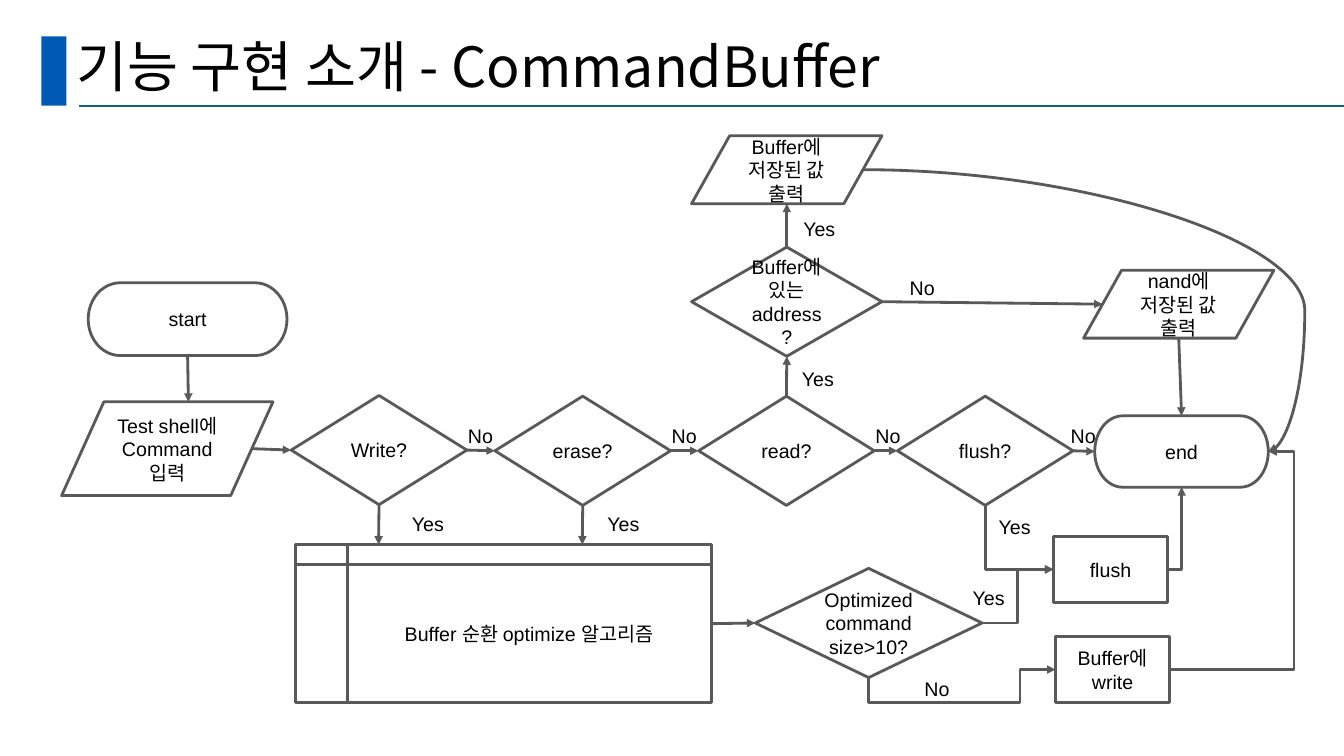
import pptx
import pptx.dml.color
import pptx.enum.shapes
import pptx.enum.text
import pptx.oxml
import pptx.oxml.ns
import pptx.util

Pt = pptx.util.Pt
Shape = pptx.enum.shapes.MSO_SHAPE
Connector = pptx.enum.shapes.MSO_CONNECTOR
Align = pptx.enum.text.PP_ALIGN
Anchor = pptx.enum.text.MSO_ANCHOR

COLORS = {"accent": "005AB4", "rule": "156082", "outline": "595959", "paper": "FFFFFF", "ink": "000000"}
BODY_FONT = "Arial"
KOREAN_FONT = "Noto Sans CJK KR"

DECISION = Shape.FLOWCHART_DECISION
DATA = Shape.FLOWCHART_DATA
TERMINATOR = Shape.FLOWCHART_TERMINATOR
PROCESS = Shape.FLOWCHART_PROCESS
STORAGE = Shape.FLOWCHART_INTERNAL_STORAGE

TOP, LEFT, BOTTOM, RIGHT = (0.5, 0), (0, 0.5), (0.5, 1), (1, 0.5)
SITES = {TOP: 0, LEFT: 1, BOTTOM: 2, RIGHT: 3}
SLANT_LEFT, SLANT_RIGHT, SLANT_TOP = (0.1, 0.5), (0.9, 0.5), (0.6, 0)

NODES = {
    "start": (TERMINATOR, "start", 23, 112, 142, 52),
    "input": (DATA, "Test shell에 Command 입력", 4, 197, 151, 67),
    "write": (DECISION, "Write?", 168, 192.5, 125.5, 78),
    "erase": (DECISION, "erase?", 313.5, 193, 125.5, 78),
    "read": (DECISION, "read?", 459, 193, 125.5, 78),
    "flush": (DECISION, "flush?", 601, 193, 125.5, 78),
    "end": (TERMINATOR, "end", 742, 207, 124, 51),
    "buffered": (DECISION, "Buffer에 있는 address?", 454, 86.5, 136, 78),
    "buffer output": (DATA, "Buffer에 저장된 값 출력", 454, 7, 136, 48.5),
    "nand output": (DATA, "nand에 저장된 값 출력", 734, 103, 136, 48.5),
    "optimize": (STORAGE, "Buffer 순환 optimize 알고리즘", 171, 299, 297, 113),
    "size": (DECISION, "Optimized command size>10?", 499.5, 316, 162, 78),
    "buffer write": (PROCESS, "Buffer에 write", 714, 364.5, 81.5, 47.5),
    "flush run": (PROCESS, "flush", 712.5, 293, 81.5, 47.5),
}

STRAIGHT_LINKS = [
    ("start", BOTTOM, "input", SLANT_TOP),
    ("input", SLANT_RIGHT, "write", LEFT),
    ("write", RIGHT, "erase", LEFT),
    ("erase", RIGHT, "read", LEFT),
    ("read", RIGHT, "flush", LEFT),
    ("flush", RIGHT, "end", LEFT),
    ("read", TOP, "buffered", BOTTOM),
    ("buffered", TOP, "buffer output", BOTTOM),
    ("buffered", RIGHT, "nand output", SLANT_LEFT),
    ("nand output", BOTTOM, "end", TOP),
    ("write", BOTTOM, "optimize", (0.2, 0)),
    ("erase", BOTTOM, "optimize", (0.69, 0)),
    ("optimize", RIGHT, "size", LEFT),
]

ROUTED_LINKS = [
    ("buffer output", SLANT_RIGHT, "end", RIGHT, "curvedConnector3", [1.09], "tailEnd"),
    ("buffer write", RIGHT, "end", RIGHT, "bentConnector3", [1.26], "tailEnd"),
    ("size", RIGHT, "flush run", LEFT, "bentConnector3", [0.5], "tailEnd"),
    ("flush run", RIGHT, "end", BOTTOM, "bentConnector2", [], "tailEnd"),
    ("flush run", LEFT, "flush", BOTTOM, "bentConnector2", [], "headEnd"),
    ("buffer write", LEFT, "size", BOTTOM, "bentConnector4", [0.19, 4.1], "headEnd"),
]

LABELS = {
    "No": [(274, 209), (419.5, 209), (565, 209), (704.5, 209), (589.5, 103), (600, 390)],
    "Yes": [(236.5, 272), (376, 272), (655.5, 274), (637, 325), (516, 61), (515, 168)],
}


def color(name):
    return pptx.dml.color.RGBColor.from_string(COLORS[name])


def write_text(shape, text, size, font, align):
    frame = shape.text_frame
    frame.word_wrap = True
    frame.vertical_anchor = Anchor.MIDDLE
    para = frame.paragraphs[0]
    para.text = text
    para.alignment = align
    para.font.size = Pt(size)
    para.font.name = font
    para.font.color.rgb = color("ink")
    return para


def add_line(page, kind, begin, end, line_color, width):
    line = page.shapes.add_connector(kind, *map(Pt, begin + end))
    line.line.color.rgb = color(line_color)
    line.line.width = Pt(width)
    pptx.oxml.ns.qn("a:effectLst")
    properties = line._element.spPr
    properties.append(properties.makeelement(pptx.oxml.ns.qn("a:effectLst"), {}))
    return line


def add_title(page, box, text):
    left, top, width, height = box
    bar = page.shapes.add_shape(Shape.RECTANGLE, Pt(left), Pt(top + 1.5), Pt(18), Pt(height - 1.5))
    bar.shadow.inherit = False
    bar.fill.solid()
    bar.fill.fore_color.rgb = color("accent")
    bar.line.fill.background()
    bottom = top + height
    add_line(page, Connector.STRAIGHT, (left + 27, bottom), (left + width, bottom), "rule", 1.5)
    title = page.shapes.add_textbox(Pt(left + 18), Pt(top), Pt(828), Pt(height))
    para = write_text(title, text, 39.6, KOREAN_FONT, Align.LEFT)
    para.line_spacing = 0.9


def add_node(page, origin, kind, text, left, top, width, height):
    node = page.shapes.add_shape(kind, Pt(origin[0] + left), Pt(origin[1] + top), Pt(width), Pt(height))
    node.shadow.inherit = False
    node.fill.solid()
    node.fill.fore_color.rgb = color("paper")
    node.line.color.rgb = color("outline")
    node.line.width = Pt(2)
    write_text(node, text, 14, BODY_FONT, Align.CENTER)
    return node


def node_point(node, place):
    return node.left.pt + node.width.pt * place[0], node.top.pt + node.height.pt * place[1]


def add_link(page, kind, source, source_place, target, target_place, arrow="tailEnd"):
    link = add_line(page, kind, node_point(source, source_place), node_point(target, target_place), "outline", 2)
    for node, place, connect in ((source, source_place, link.begin_connect), (target, target_place, link.end_connect)):
        if node.auto_shape_type != DATA and place in SITES:
            connect(node, SITES[place])
    outline = link.line._get_or_add_ln()
    outline.append(outline.makeelement(pptx.oxml.ns.qn("a:" + arrow), {"type": "triangle"}))
    return link


def set_route(link, preset, adjustments):
    geometry = link._element.spPr.find(pptx.oxml.ns.qn("a:prstGeom"))
    geometry.set("prst", preset)
    guides = geometry.find(pptx.oxml.ns.qn("a:avLst"))
    for number, value in enumerate(adjustments, 1):
        guide = {"name": f"adj{number}", "fmla": f"val {round(value * 100000)}"}
        guides.append(guides.makeelement(pptx.oxml.ns.qn("a:gd"), guide))


def add_flowchart(page, box):
    left, top = box[:2]
    nodes = {name: add_node(page, (left, top), *node) for name, node in NODES.items()}
    for source, source_place, target, target_place in STRAIGHT_LINKS:
        add_link(page, Connector.STRAIGHT, nodes[source], source_place, nodes[target], target_place)
    for source, source_place, target, target_place, preset, adjustments, arrow in ROUTED_LINKS:
        kind = Connector.CURVE if preset.startswith("curved") else Connector.ELBOW
        link = add_link(page, kind, nodes[source], source_place, nodes[target], target_place, arrow)
        set_route(link, preset, adjustments)
    for text, places in LABELS.items():
        for label_left, label_top in places:
            label = page.shapes.add_textbox(Pt(left + label_left), Pt(top + label_top), Pt(58.5), Pt(24.5))
            write_text(label, text, 14, BODY_FONT, Align.CENTER)


def main():
    deck = pptx.Presentation()
    deck.slide_width, deck.slide_height = Pt(960), Pt(540)
    page = deck.slides.add_slide(deck.slide_layouts[6])
    add_title(page, (29.5, 24.5, 930.5, 51), "기능 구현 소개 - CommandBuffer")
    add_flowchart(page, (40, 90, 880, 415))
    deck.save("out.pptx")


if __name__ == "__main__":
    main()
